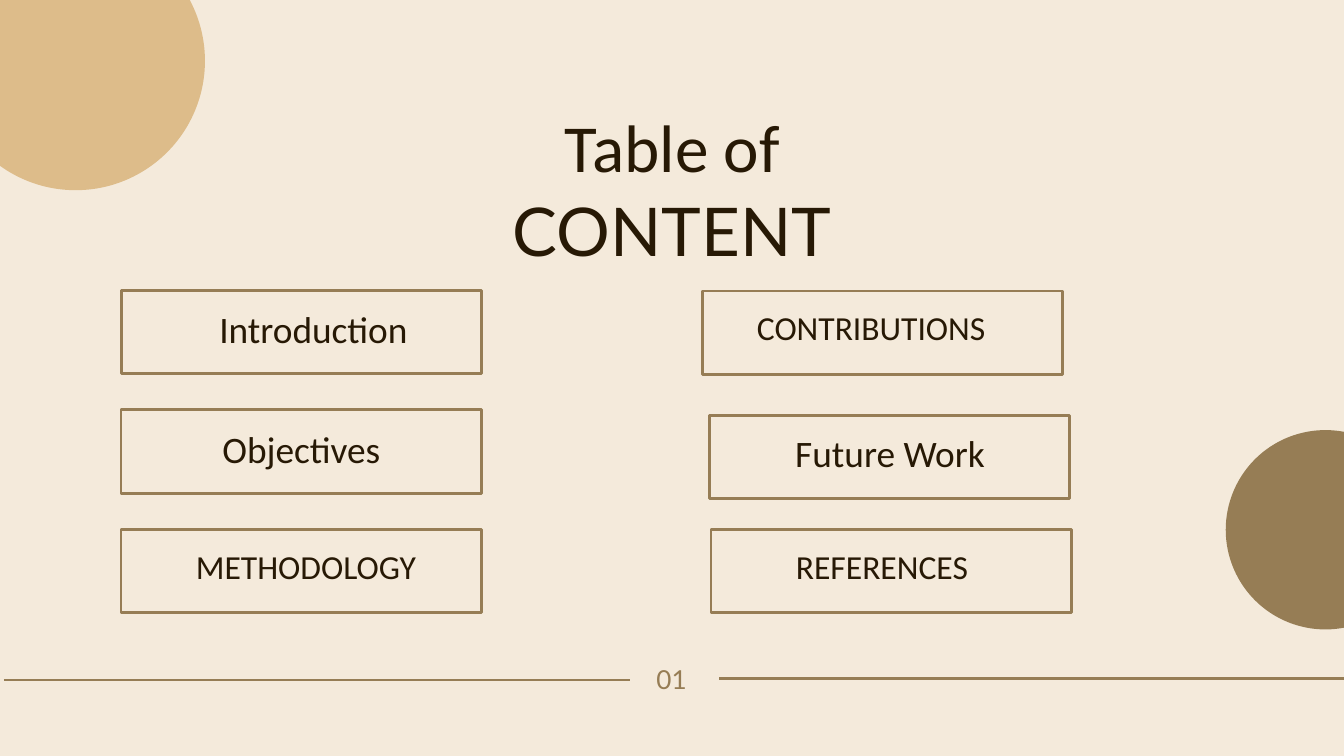
from pptx import Presentation
from pptx.dml.color import RGBColor
from pptx.enum.shapes import MSO_CONNECTOR, MSO_SHAPE
from pptx.enum.text import MSO_ANCHOR, MSO_AUTO_SIZE, PP_ALIGN
from pptx.oxml.ns import qn
from pptx.util import Pt
from lxml import etree

OVAL = MSO_SHAPE.OVAL
RECT = MSO_SHAPE.RECTANGLE
STRAIGHT = MSO_CONNECTOR.STRAIGHT
TOP = MSO_ANCHOR.TOP
FIXED = MSO_AUTO_SIZE.NONE
CENTER = PP_ALIGN.CENTER

CREAM = RGBColor(0xF4, 0xEA, 0xDB)
SAND = RGBColor(0xDD, 0xBC, 0x8A)
BROWN = RGBColor(0x96, 0x7D, 0x55)
DARK = RGBColor(0x27, 0x19, 0x05)

BOX_SIZE = (386, 89.3)
# Each topic: text, size, box left and top, label left, top and width
TOPICS = [
    ("Introduction", 40, 130.3, 311, 203.8, 336.2, 264.2),
    ("Objectives", 40, 129.6, 439.2, 190.8, 465.1, 264.2),
    ("METHODOLOGY", 36, 129.6, 567.4, 195.8, 591.8, 264.2),
    ("CONTRIBUTIONS", 36, 752.4, 311.8, 787, 336.2, 293),
    ("Future Work", 40, 760.3, 445, 807.1, 469.4, 293),
    ("REFERENCES", 36, 761.8, 567.4, 798.5, 592.6, 293),
]


def set_frame(frame):
    """Clear the insets and fix the size of a text frame."""
    frame.margin_left = frame.margin_right = 0
    frame.margin_top = frame.margin_bottom = 0
    frame.word_wrap = True
    frame.auto_size = FIXED
    frame.vertical_anchor = TOP


def style(para, font, size, color, pitch):
    """Centre a paragraph and format its runs."""
    para.alignment = CENTER
    para.line_spacing = Pt(pitch)
    for run in para.runs:
        run.font.name = font
        run.font.size = Pt(size)
        run.font.color.rgb = color


def add_label(slide, text, left, top, width, height, font, size, color):
    """Add one line of centred text."""
    box = slide.shapes.add_textbox(Pt(left), Pt(top), Pt(width), Pt(height))
    set_frame(box.text_frame)
    box.text_frame.text = text
    style(box.text_frame.paragraphs[0], font, size, color, size)


def add_circle(slide, left, top, size, color):
    """Add a plain filled circle."""
    disc = slide.shapes.add_shape(OVAL, Pt(left), Pt(top), Pt(size), Pt(size))
    disc.shadow.inherit = False
    disc.fill.solid()
    disc.fill.fore_color.rgb = color
    disc.line.fill.background()


def add_rule(slide, start, end, top):
    """Add a level line."""
    rule = slide.shapes.add_connector(STRAIGHT, Pt(start), Pt(top), Pt(end), Pt(top))
    rule.line.color.rgb = BROWN
    rule.line.width = Pt(3)
    etree.SubElement(rule._element.spPr, qn("a:effectLst"))


def add_topic(slide, text, size, left, top, label_left, label_top, width):
    """Add an outlined box with its label."""
    box = slide.shapes.add_shape(RECT, Pt(left), Pt(top), *map(Pt, BOX_SIZE))
    box.shadow.inherit = False
    box.fill.background()
    box.line.color.rgb = BROWN
    box.line.width = Pt(3)
    add_label(slide, text, label_left, label_top, width, size + 5,
              "Calibri", size, DARK)


def set_title(slide):
    """Place and format the two-line title."""
    title = slide.shapes.title
    title.left, title.top = Pt(339.8), Pt(113)
    title.width, title.height = Pt(761), Pt(177)
    frame = title.text_frame
    set_frame(frame)
    frame.text = "Table of\nCONTENT"
    for para, font in zip(frame.paragraphs, ("Calibri", "Lato")):
        style(para, font, 72, DARK, 86.4)
    frame.paragraphs[0].space_before = Pt(0)
    frame.paragraphs[1].space_before = Pt(3.6)


def main():
    """Build the contents slide."""
    deck = Presentation()
    deck.slide_width, deck.slide_height = Pt(1440), Pt(810)
    slide = deck.slides.add_slide(deck.slide_layouts[5])
    slide.background.fill.solid()
    slide.background.fill.fore_color.rgb = CREAM
    set_title(slide)
    add_rule(slide, 770.4, 1440, 727.2)
    add_label(slide, "01", 653, 716.4, 133.2, 29.5, "Lato", 28, BROWN)
    add_rule(slide, 4.3, 674.6, 728.6)
    add_circle(slide, 1313.3, 460.8, 213.6, BROWN)
    add_circle(slide, -57.6, -73.4, 277.2, SAND)
    for topic in TOPICS:
        add_topic(slide, *topic)
    deck.save("out.pptx")


if __name__ == "__main__":
    main()
